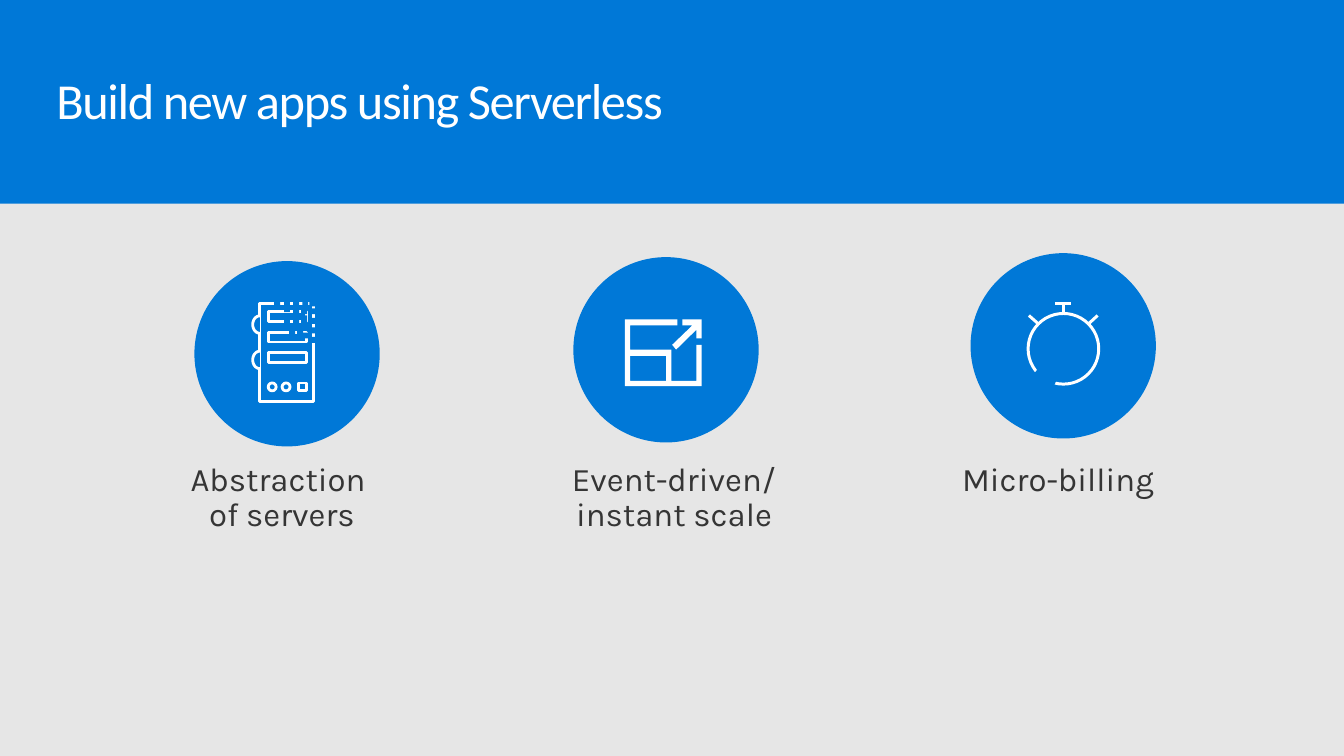
"""Build the serverless overview slide with three icons and captions."""
from dataclasses import dataclass
from math import cos, pi, sin
from typing import Any, Optional

from lxml.etree import SubElement
from pptx import Presentation
from pptx.dml.color import RGBColor
from pptx.enum.shapes import MSO_CONNECTOR, MSO_SHAPE
from pptx.enum.text import MSO_AUTO_SIZE, PP_ALIGN
from pptx.oxml.ns import qn
from pptx.util import Cm, Pt

BLUE = RGBColor(0x00, 0x78, 0xD7)
WHITE = RGBColor(0xFF, 0xFF, 0xFF)
GRAY = RGBColor(0xE6, 0xE6, 0xE6)
CHARCOAL = RGBColor(0x35, 0x35, 0x35)

OVAL = MSO_SHAPE.OVAL
RECTANGLE = MSO_SHAPE.RECTANGLE
CIRCLE_SIZE = 4.67
SERVER_LINE = 2.0
WATCH_LINE = 2.13
PIXEL = 0.15

Point = tuple[float, float]


@dataclass(frozen=True)
class Figure:
    kind: MSO_SHAPE
    left: float
    top: float
    width: float
    height: float
    line_width: Optional[float] = None


@dataclass(frozen=True)
class Stroke:
    start: Point
    end: Point


@dataclass(frozen=True)
class Label:
    text: str
    left: float
    top: float
    width: float
    height: float
    font: dict[str, Any]
    frame: dict[str, Any]
    paragraph: dict[str, Any]
    color: RGBColor
    tracking: int = 0


CAPTION_FORMAT = {
    "font": {"name": "Karla", "size": Pt(23.5)},
    "frame": {
        "word_wrap": True, "auto_size": MSO_AUTO_SIZE.SHAPE_TO_FIT_TEXT,
        "margin_left": Cm(0.25), "margin_top": Cm(0.41),
        "margin_right": Cm(0.51), "margin_bottom": Cm(0.41),
    },
    "paragraph": {"alignment": PP_ALIGN.CENTER, "line_spacing": 0.9, "space_after": Pt(5.9)},
    "color": CHARCOAL,
}
TITLE_FORMAT = {
    "font": {"name": "Calibri", "size": Pt(36)},
    "frame": {"word_wrap": True},
    "paragraph": {"line_spacing": 0.9},
    "color": WHITE,
    "tracking": -100,
}
LABELS = [
    Label("Build new apps using Serverless", 1.17, 1.8, 32.39, 1.5, **TITLE_FORMAT),
    Label("Abstraction \vof servers", 3.66, 11.25, 7.16, 2.67, **CAPTION_FORMAT),
    Label("Event-driven/ instant scale", 13.41, 11.25, 7.42, 2.67, **CAPTION_FORMAT),
    Label("Micro-billing", 23.39, 11.25, 6.81, 1.75, **CAPTION_FORMAT),
]

BAND = Figure(RECTANGLE, 0, 0, 33.87, 5.13)
CIRCLES = [
    Figure(OVAL, left, top, CIRCLE_SIZE, CIRCLE_SIZE)
    for left, top in [(4.9, 6.58), (14.45, 6.48), (24.46, 6.38)]
]

HANDLE_CENTERS = [(6.55, 8.18), (6.55, 9.07)]
SERVER_CASE = Figure(RECTANGLE, 6.55, 7.65, 1.35, 2.46, SERVER_LINE)
SERVER_SLOTS = [
    Figure(RECTANGLE, 6.76, 7.85 + 0.52 * row, 0.97, 0.25, SERVER_LINE) for row in range(3)
]
SERVER_BUTTONS = [
    Figure(kind, left, 9.65, 0.2, 0.2, SERVER_LINE)
    for kind, left in [(OVAL, 6.76), (OVAL, 7.11), (RECTANGLE, 7.52)]
]
PIXEL_CORNERS = [
    (6.91, 7.59), (7.16, 7.57), (7.39, 7.57), (7.62, 7.57), (7.8, 7.57),
    (7.16, 7.72), (7.39, 7.75), (7.59, 7.77), (7.16, 8.05), (7.39, 8.03),
    (7.29, 8.28), (7.49, 8.28), (7.62, 8.38),
] + [(7.82, 7.77 + 0.24 * row) for row in range(4)]
SERVER_GAPS = [Figure(RECTANGLE, left, top, PIXEL, PIXEL) for left, top in PIXEL_CORNERS]
SERVER_GAPS.append(Figure(RECTANGLE, 7.59, 7.95, PIXEL, 0.2))

SCALE_FRAME = [
    [(17.55, 9.6), (16.92, 9.6), (16.92, 8.81), (15.88, 8.81), (15.88, 8.2), (17.07, 8.2),
     (17.07, 8.05), (15.75, 8.05), (15.75, 9.73), (17.68, 9.73), (17.68, 8.69), (17.55, 8.69)],
    [(15.88, 8.97), (16.79, 8.97), (16.79, 9.6), (15.88, 9.6)],
]
SCALE_ARROW = [
    [(17.2, 8.2), (17.45, 8.2), (16.94, 8.69), (17.04, 8.81), (17.55, 8.31),
     (17.55, 8.53), (17.68, 8.53), (17.68, 8.05), (17.2, 8.05)],
]

WATCH_DIAL = Figure(OVAL, 25.91, 7.9, 1.78, 1.78, WATCH_LINE)
WATCH_GAP = Figure(OVAL, 26.04, 9.25, 0.58, 0.58)
WATCH_STROKES = [
    Stroke((26.59, 7.65), (27.0, 7.65)),
    Stroke((26.8, 7.9), (26.8, 7.65)),
    Stroke((27.66, 7.95), (27.41, 8.18)),
    Stroke((25.93, 7.95), (26.19, 8.18)),
]


def apply_format(target: Any, values: dict[str, Any]) -> None:
    """Set every named value on the target."""
    for name, value in values.items():
        setattr(target, name, value)


def paint(shape: Any, fill: RGBColor, line_width: Optional[float] = None) -> None:
    """Give a shape a flat fill and an optional white outline."""
    shape.shadow.inherit = False
    shape.fill.solid()
    shape.fill.fore_color.rgb = fill
    if line_width is None:
        shape.line.fill.background()
    else:
        shape.line.color.rgb = WHITE
        shape.line.width = Pt(line_width)


def draw_figure(page: Any, figure: Figure) -> None:
    """Draw one blue preset shape."""
    lengths = (figure.left, figure.top, figure.width, figure.height)
    shape = page.shapes.add_shape(figure.kind, *map(Cm, lengths))
    paint(shape, BLUE, figure.line_width)


def draw_outline(page: Any, contours: list[list[Point]], fill: RGBColor,
                 line_width: Optional[float] = None, close: bool = True) -> None:
    """Draw one freeform from its contours."""
    builder = page.shapes.build_freeform(*map(Cm, contours[0][0]))
    for index, contour in enumerate(contours):
        points = [(Cm(x), Cm(y)) for x, y in contour]
        if index:
            builder.move_to(*points[0])
        builder.add_line_segments(points[1:], close=close)
    paint(builder.convert_to_shape(), fill, line_width)


def draw_handle(page: Any, center: Point) -> None:
    """Draw a server handle as the left half of an ellipse."""
    angles = [pi / 2 + pi * step / 16 for step in range(17)]
    arc = [(center[0] + 0.18 * cos(angle), center[1] + 0.22 * sin(angle)) for angle in angles]
    draw_outline(page, [arc], BLUE, SERVER_LINE, close=False)


def draw_stroke(page: Any, stroke: Stroke) -> None:
    """Draw one white stopwatch line."""
    line = page.shapes.add_connector(
        MSO_CONNECTOR.STRAIGHT, *map(Cm, stroke.start + stroke.end))
    line.line.color.rgb = WHITE
    line.line.width = Pt(WATCH_LINE)
    SubElement(line._element.spPr, qn("a:effectLst"))


def draw_label(page: Any, label: Label) -> None:
    """Draw one text box."""
    lengths = (label.left, label.top, label.width, label.height)
    box = page.shapes.add_textbox(*map(Cm, lengths))
    apply_format(box.text_frame, label.frame)
    para = box.text_frame.paragraphs[0]
    para.text = label.text
    apply_format(para, label.paragraph)
    for span in para.runs:
        apply_format(span.font, label.font)
        span.font.color.rgb = label.color
        if label.tracking:
            span._r.get_or_add_rPr().set("spc", str(label.tracking))


def main() -> None:
    """Build and save the deck."""
    deck = Presentation()
    deck.slide_width, deck.slide_height = Cm(33.87), Cm(19.05)
    page = deck.slides.add_slide(deck.slide_layouts[6])
    page.background.fill.solid()
    page.background.fill.fore_color.rgb = GRAY
    for figure in [BAND, *CIRCLES, SERVER_CASE, *SERVER_SLOTS, *SERVER_BUTTONS,
                   *SERVER_GAPS, WATCH_DIAL, WATCH_GAP]:
        draw_figure(page, figure)
    for center in HANDLE_CENTERS:
        draw_handle(page, center)
    for contours in (SCALE_FRAME, SCALE_ARROW):
        draw_outline(page, contours, WHITE)
    for stroke in WATCH_STROKES:
        draw_stroke(page, stroke)
    for label in LABELS:
        draw_label(page, label)
    deck.save("out.pptx")


if __name__ == "__main__":
    main()
